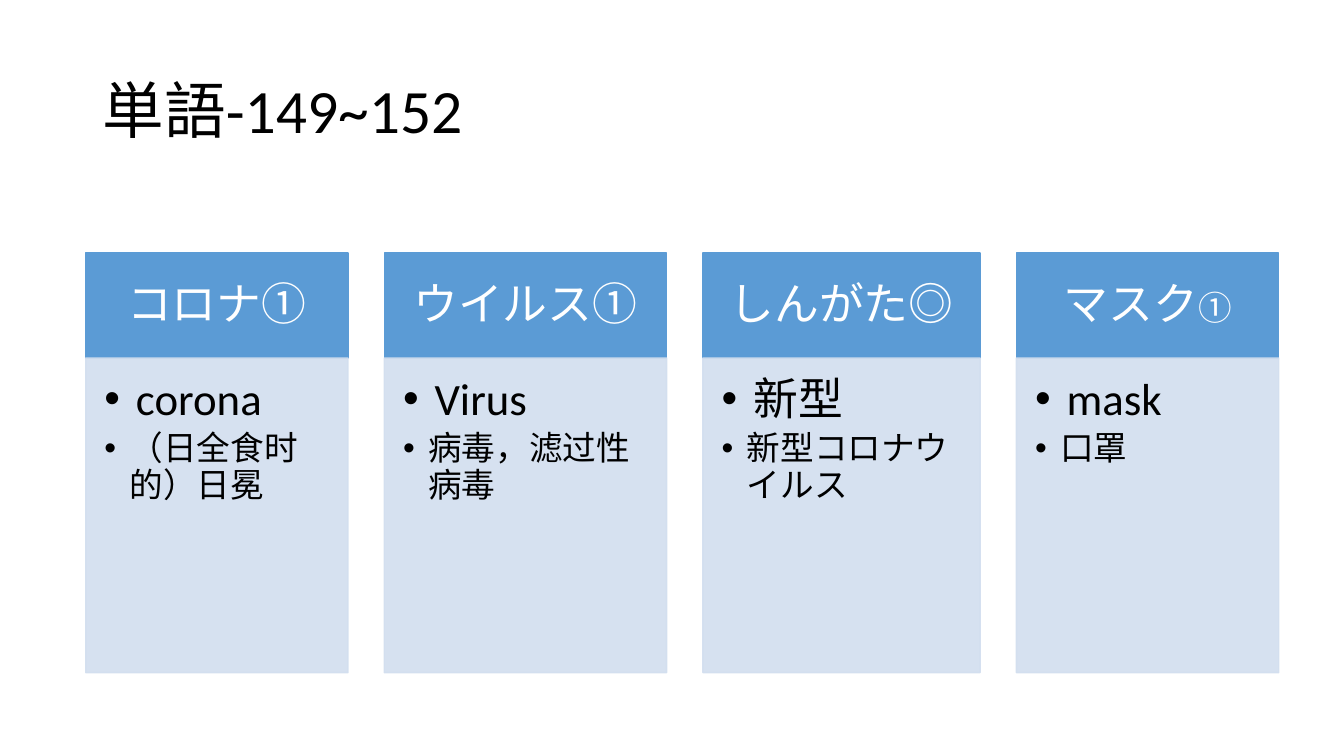
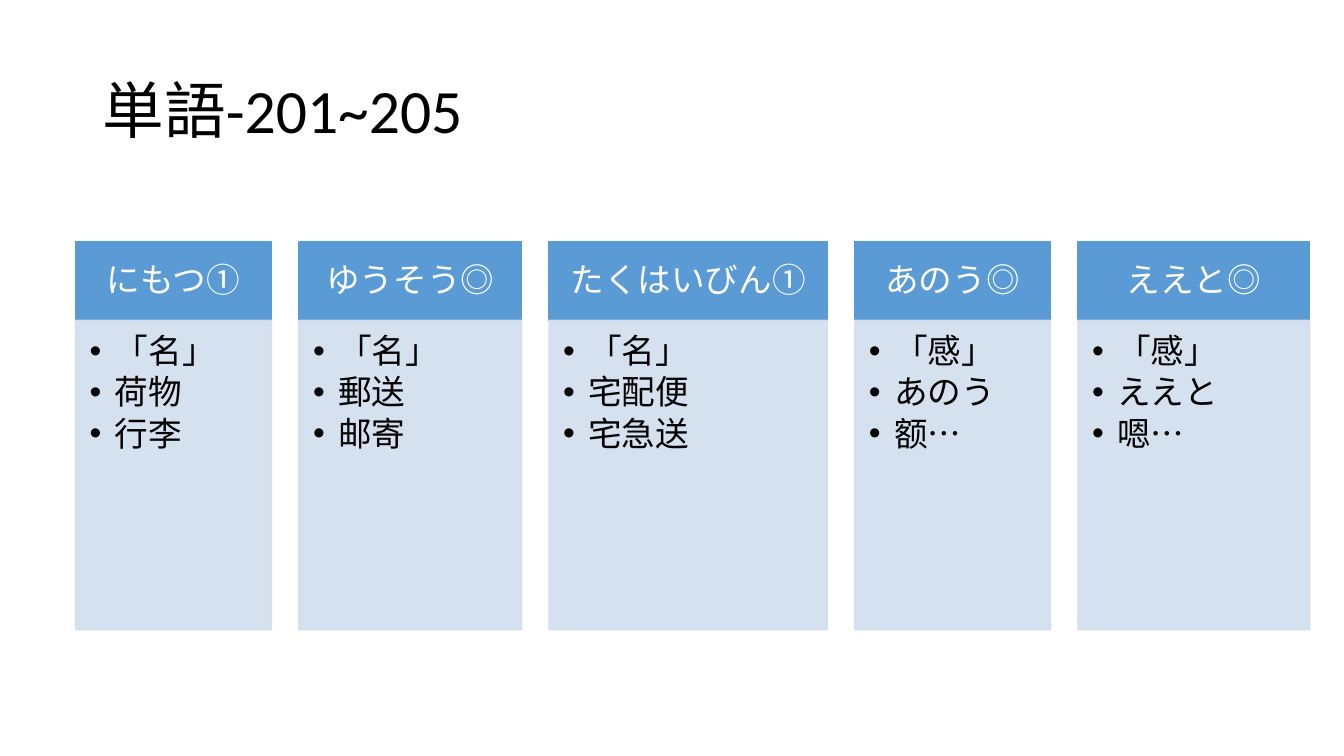
from lxml.etree import SubElement
from pptx import Presentation
from pptx.dml.color import RGBColor as RGB
from pptx.enum.shapes import MSO_SHAPE as SHAPE
from pptx.enum.text import MSO_ANCHOR as ANCHOR, PP_ALIGN as ALIGN
from pptx.oxml.ns import qn
from pptx.util import Pt

COLORS = {"header": "5B9BD5", "body": "D2DEEF", "light": "FFFFFF", "dark": "000000"}
FONT = "Calibri"

# Each card: width, header runs, bullet items; a run or item is (text, size).
SLIDES = [
    {
        "title": "単語-149~152",
        "left": 61.2, "top": 180.8, "gap": 25.9, "size": 32,
        "header_height": 74.9, "body_height": 224.8,
        "cards": [
            (187.4, [("コロナ①", 32)], [("corona", 32), ("（日全食时的）日冕", 24)]),
            (201.7, [("ウイルス①", 32)], [("Virus", 32), ("病毒，滤过性病毒", 24)]),
            (198, [("しんがた◎", 32)], [("新型", 32), ("新型コロナウイルス", 24)]),
            (187.4, [("マスク", 32), ("①", 24)], [("mask", 32), ("口罩", 24)]),
        ],
    },
    {
        "title": "単語-201~205",
        "left": 54, "top": 172.7, "gap": 19.6, "size": 24,
        "header_height": 56.2, "body_height": 221,
        "cards": [
            (139.9, [("にもつ①", 24)], [("「名」", 24), ("荷物", 24), ("行李", 24)]),
            (159.1, [("ゆうそう◎", 24)], [("「名」", 24), ("郵送", 24), ("邮寄", 24)]),
            (198.7, [("たくはいびん①", 24)], [("「名」", 24), ("宅配便", 24), ("宅急送", 24)]),
            (139.9, [("あのう◎", 24)], [("「感」", 24), ("あのう", 24), ("额…", 24)]),
            (165.6, [("ええと◎", 24)], [("「感」", 24), ("ええと", 24), ("嗯…", 24)]),
        ],
    },
]


def add_bullet(p, indent):
    pPr = p._p.get_or_add_pPr()
    pPr.set("marL", str(Pt(indent)))
    pPr.set("indent", str(-Pt(indent)))
    SubElement(pPr, qn("a:buFont"), typeface="Arial")
    SubElement(pPr, qn("a:buChar"), char="•")


def write(p, runs, color="dark", align=ALIGN.LEFT, after=0, indent=0):
    """Fill a paragraph with (text, size) runs; an indent makes it a bullet."""
    if indent:
        add_bullet(p, indent)
    p.alignment = align
    p.line_spacing = 0.9
    p.space_before = Pt(0)
    p.space_after = Pt(after)
    for text, size in runs:
        r = p.add_run()
        r.text = text
        r.font.name = FONT
        r.font.size = Pt(size)
        r.font.color.rgb = RGB.from_string(COLORS[color])


def add_box(s, box, color, insets, anchor, opacity=100):
    """Add a rectangle and return its empty text frame."""
    sp = s.shapes.add_shape(SHAPE.RECTANGLE, *map(Pt, box))
    sp.shadow.inherit = False
    sp.fill.solid()
    sp.line.width = Pt(1)
    for fmt in (sp.fill.fore_color, sp.line.color):
        fmt.rgb = RGB.from_string(COLORS[color])
    if opacity < 100:
        for clr in list(sp.element.spPr.iter(qn("a:srgbClr"))):
            SubElement(clr, qn("a:alpha"), val=str(opacity * 1000))
    tf = sp.text_frame
    tf.word_wrap = True
    tf.vertical_anchor = anchor
    tf.margin_left, tf.margin_top, tf.margin_right, tf.margin_bottom = map(Pt, insets)
    return tf


def add_card(s, left, width, header, items, deck):
    """Add a header over a bullet list, with insets in proportion to the text."""
    size, top, header_height = deck["size"], deck["top"], deck["header_height"]
    side, edge, near, low = (round(size * k, 2) for k in (0.56, 0.32, 0.42, 0.64))
    tf = add_box(s, (left, top, width, header_height), "header",
                 (side, edge, side, edge), ANCHOR.MIDDLE)
    write(tf.paragraphs[0], header, color="light", align=ALIGN.CENTER, after=0.35 * size)

    tf = add_box(s, (left, top + header_height, width, deck["body_height"]), "body",
                 (near, near, side, low), ANCHOR.TOP, opacity=90)
    for i, (text, item_size) in enumerate(items):
        p = tf.add_paragraph() if i else tf.paragraphs[0]
        write(p, [(text, item_size)], after=0.15 * item_size,
              indent=22.5 if item_size > 24 else 18)


def place_title(layout):
    title = layout.placeholders[0]
    title.left, title.top, title.width, title.height = map(Pt, (66, 28.8, 828, 104.4))
    title.text_frame.vertical_anchor = ANCHOR.MIDDLE


def add_word_slide(prs, layout, deck):
    s = prs.slides.add_slide(layout)
    write(s.shapes.title.text_frame.paragraphs[0], [(deck["title"], 44)])
    left = deck["left"]
    for width, header, items in deck["cards"]:
        add_card(s, left, width, header, items, deck)
        left += width + deck["gap"]


def main():
    prs = Presentation()
    prs.slide_width, prs.slide_height = Pt(960), Pt(540)
    layout = prs.slide_layouts.get_by_name("Title Only")
    place_title(layout)
    for deck in SLIDES:
        add_word_slide(prs, layout, deck)
    prs.save("out.pptx")


if __name__ == "__main__":
    main()
